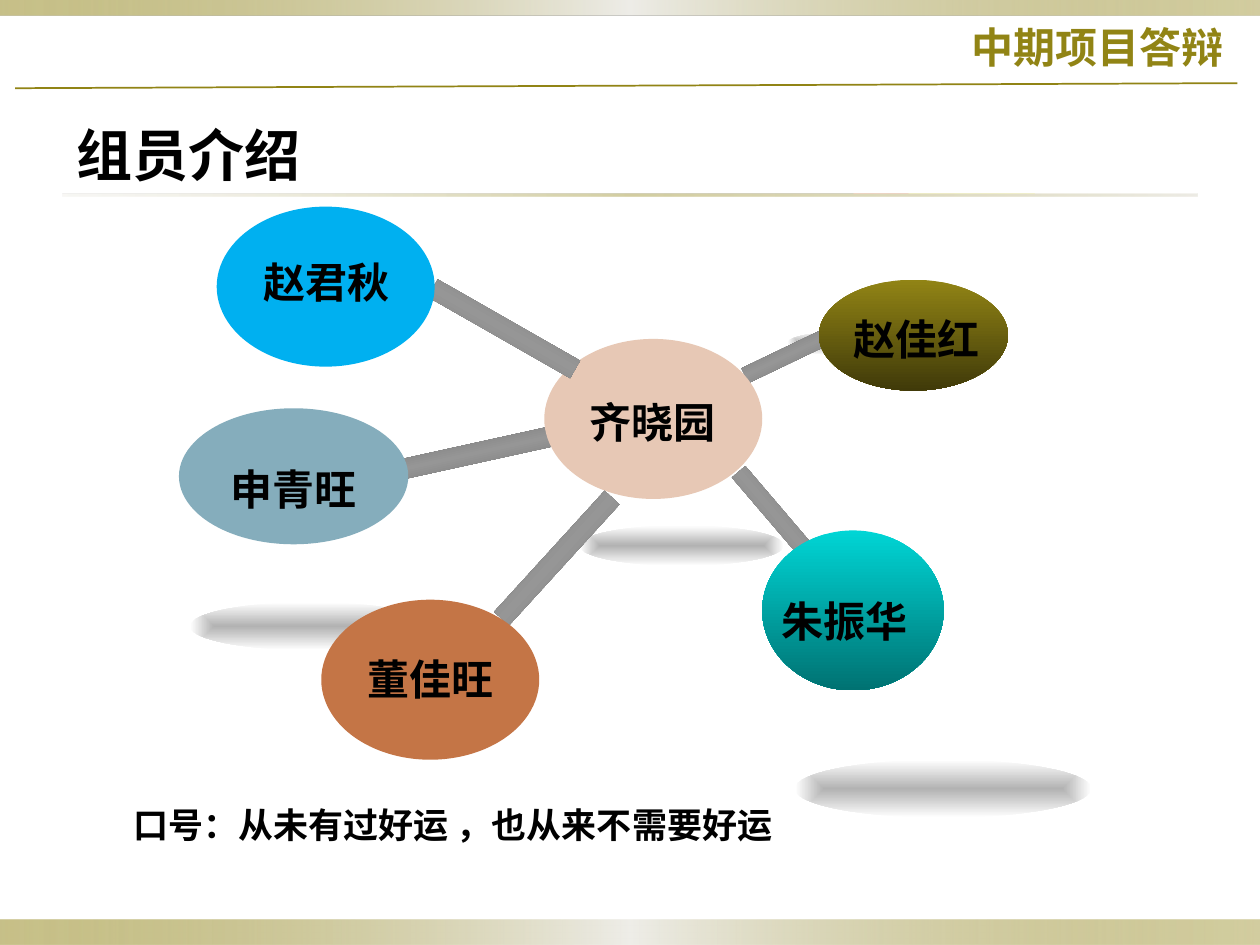
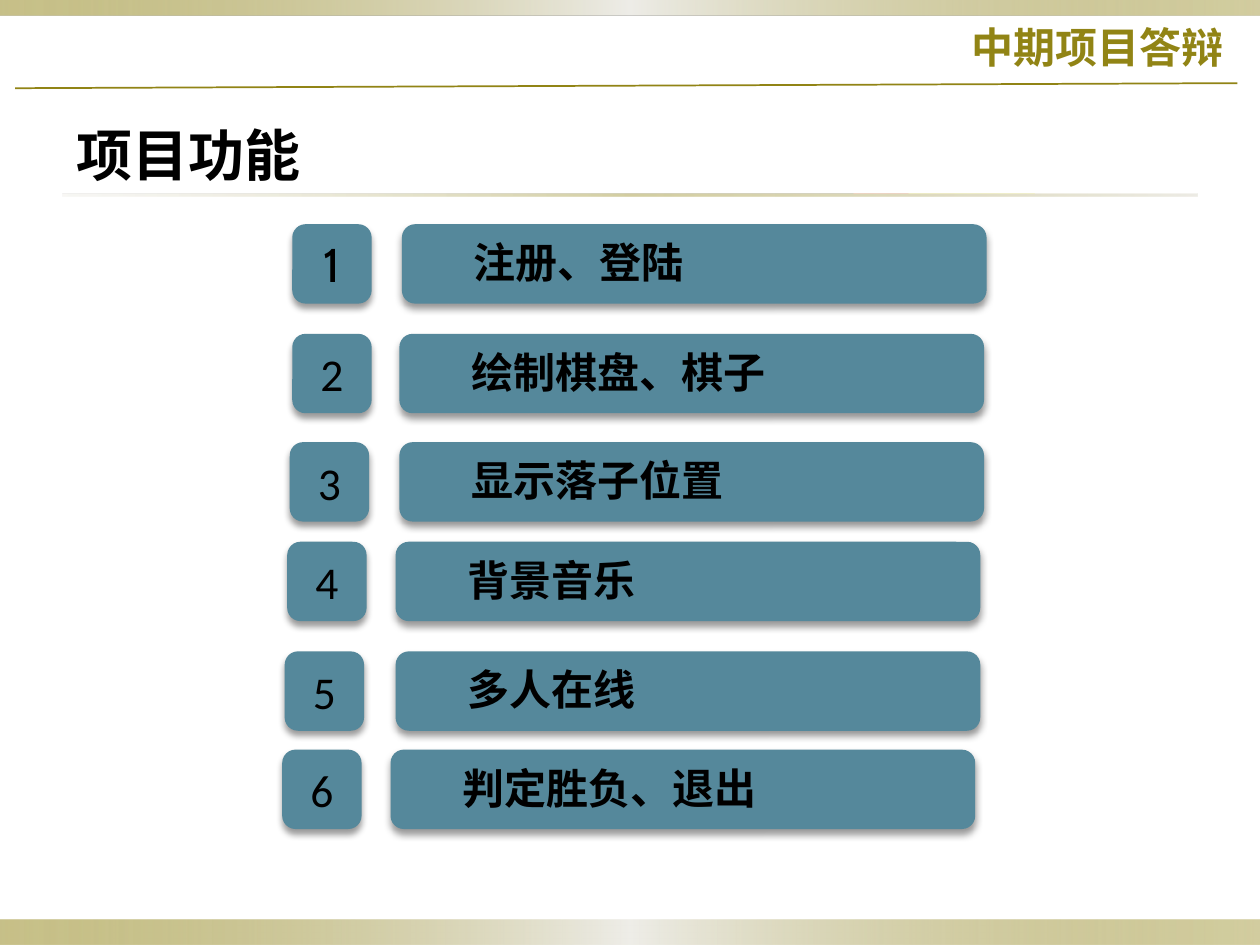
from dataclasses import dataclass

from lxml.etree import SubElement
from pptx import Presentation
from pptx.dml.color import RGBColor
from pptx.enum.shapes import MSO_CONNECTOR, MSO_SHAPE
from pptx.enum.text import MSO_ANCHOR, MSO_AUTO_SIZE, PP_ALIGN
from pptx.oxml import parse_xml
from pptx.oxml.ns import nsdecls, qn
from pptx.util import Inches, Pt

COLS, ROWS = 100, 75
EDGE = [(0, "918415", 50), (50, "EEEDE8", 100), (100, "918415", 40)]
RULE = [(0, "DCD9CC", 20), (50, "918415", 40), (100, "DCD9CC", 50)]
STEEL = [(0, "6B6B6B", 100), (50, "969696", 100), (100, "6B6B6B", 100)]
GLOW = [(0, "B2B2B2", 100), (100, "FFFFFF", 100)]
OLIVE = [(0, "918415", 100), (100, "403A09", 100)]
TEAL = [(0, "00D5D5", 100), (100, "007272", 100)]
ACROSS = '<a:lin ang="0" scaled="0"/>'
DOWN = '<a:lin ang="5400000" scaled="0"/>'
INWARD = ('<a:path path="shape"><a:fillToRect l="50000" t="50000" '
          'r="50000" b="50000"/></a:path>')


@dataclass(frozen=True)
class Theme:
    accent: str = "918415"
    ink: str = "000000"
    panel: str = "55889B"
    cjk: str = "Noto Sans CJK SC"
    body: str = "Arial"
    title: str = "Cabin"
    number: str = "Calibri"
    title_size: int = 32
    number_size: int = 26
    label_size: int = 24
    slogan_size: int = 20


class Deck:
    def __init__(self, theme):
        self.theme = theme
        self.prs = Presentation()
        self.prs.slide_width, self.prs.slide_height = Inches(10), Inches(7.5)
        self.col = self.prs.slide_width / COLS
        self.row = self.prs.slide_height / ROWS
        self.slide = None

    def place(self, *lengths):
        """Turn alternating columns and rows into slide lengths."""
        return [round(n * (self.row if i % 2 else self.col))
                for i, n in enumerate(lengths)]

    def shape(self, kind, box, fill, direction=DOWN, rotation=0):
        """Draw a preset shape; fill is a colour or a list of gradient stops."""
        sp = self.slide.shapes.add_shape(kind, *self.place(*box))
        sp.shadow.inherit = False
        sp.line.fill.background()
        sp.rotation = rotation
        if isinstance(fill, str):
            sp.fill.solid()
            sp.fill.fore_color.rgb = RGBColor.from_string(fill)
        else:
            self.gradient(sp, fill, direction)
        return sp

    def gradient(self, sp, stops, direction):
        sp.fill.background()
        xml = "".join(
            f'<a:gs pos="{pos * 1000}"><a:srgbClr val="{color}">'
            f'<a:alpha val="{alpha * 1000}"/></a:srgbClr></a:gs>'
            for pos, color, alpha in stops)
        spPr = sp._element.spPr
        spPr.replace(spPr.find(qn("a:noFill")), parse_xml(
            f'<a:gradFill {nsdecls("a")} rotWithShape="1">'
            f'<a:gsLst>{xml}</a:gsLst>{direction}</a:gradFill>'))

    def panel(self, box):
        """Draw a rounded panel with a soft shadow below it."""
        sp = self.shape(MSO_SHAPE.ROUNDED_RECTANGLE, box, self.theme.panel)
        effects = sp._element.spPr.find(qn("a:effectLst"))
        effects.append(parse_xml(
            f'<a:outerShdw {nsdecls("a")} blurRad="{Pt(4)}" dist="{Pt(3)}" '
            'dir="5400000" rotWithShape="0"><a:srgbClr val="000000">'
            '<a:alpha val="40000"/></a:srgbClr></a:outerShdw>'))
        return sp

    def label(self, sp, text, align=PP_ALIGN.LEFT, color=None, frame=None, **font):
        """Fill a shape with one line; frame and font hold format values."""
        tf = sp.text_frame
        frame = {"word_wrap": True, "vertical_anchor": MSO_ANCHOR.TOP,
                 "auto_size": MSO_AUTO_SIZE.SHAPE_TO_FIT_TEXT, **(frame or {})}
        for key, value in frame.items():
            setattr(tf, key, value)
        p = tf.paragraphs[0]
        p.alignment = align
        r = p.add_run()
        r.text = text
        font = {"name": self.theme.body, "size": self.theme.label_size,
                "bold": True, **font}
        font["size"] = Pt(font["size"])
        for key, value in font.items():
            setattr(r.font, key, value)
        r.font.color.rgb = RGBColor.from_string(color or self.theme.ink)
        SubElement(r.font._element, qn("a:ea"), typeface=self.theme.cjk)

    def text(self, box, text, **style):
        self.label(self.slide.shapes.add_textbox(*self.place(*box)), text, **style)

    def line(self, ends):
        cx = self.slide.shapes.add_connector(MSO_CONNECTOR.STRAIGHT, *self.place(*ends))
        cx.line.color.rgb = RGBColor.from_string(self.theme.accent)
        cx.line.width = Pt(1)
        SubElement(cx._element.spPr, qn("a:effectLst"))

    def new_slide(self, title):
        """Start a slide with the shared bands, running header and title."""
        t = self.theme
        self.slide = self.prs.slides.add_slide(self.prs.slide_layouts[6])
        for box, stops in [((0, 73, COLS, 2), EDGE), ((0, 0, COLS, 1.2), EDGE),
                           ((5, 15.4, 90, 0.2), RULE)]:
            self.shape(MSO_SHAPE.RECTANGLE, box, stops, ACROSS)
        self.text((5.1, 9.1, 90, 59.6), title, name=t.title, size=t.title_size,
                  frame={"auto_size": MSO_AUTO_SIZE.NONE})
        self.line((1.2, 7, 98.2, 6.6))
        self.text((52.2, 1.2, 45.9, 5), "中期项目答辩", align=PP_ALIGN.RIGHT,
                  name=t.cjk, color=t.accent)

    def link(self, box, rotation):
        self.shape(MSO_SHAPE.RECTANGLE, box, STEEL, rotation=rotation)

    def member(self, name, oval, fill, label_at):
        self.shape(MSO_SHAPE.OVAL, oval, fill)
        self.text((*label_at, 12.2, 5), name, align=PP_ALIGN.CENTER,
                  frame={"word_wrap": False})

    def feature(self, number, text, top, badge_left, bar_left, **font):
        t = self.theme
        self.panel((bar_left, top, 46.4, 6.3))
        caption = self.shape(MSO_SHAPE.RECTANGLE,
                             (bar_left + 4.7, top + 0.5, 32.9, 5), t.panel)
        self.label(caption, text, name=t.cjk)
        badge = self.panel((badge_left, top, 6.3, 6.3))
        font = {"name": t.number, "size": t.number_size, "bold": False, **font}
        self.label(badge, str(number), align=PP_ALIGN.CENTER, **font,
                   frame={"vertical_anchor": MSO_ANCHOR.MIDDLE,
                          "auto_size": MSO_AUTO_SIZE.NONE})


def build_team(deck):
    deck.new_slide("组员介绍")
    for glow in [(62.5, 26.3, 9.6, 1.9), (46, 41.7, 16.2, 3.2),
                 (63.1, 60.3, 23.5, 4.6), (15.1, 47.8, 19.1, 3.8)]:
        deck.shape(MSO_SHAPE.OVAL, glow, GLOW, INWARD)

    behind_hub = (
        [((56.8, 40.7, 10.4, 1.4), 229.5), ((31.1, 35.2, 13, 1.6), 347.6),
         ((58.8, 27.7, 6.8, 1.3), 334.4)],
        [("齐晓园", (43.2, 26.9, 17.3, 12.7), "E7C8B5", (45.7, 31)),
         ("赵佳红", (65, 22.2, 15, 8.8), OLIVE, (66.6, 24.4)),
         ("申青旺", (14.2, 32.4, 18.2, 10.8), "85ADBC", (17.2, 36.3)),
         ("朱振华", (60.5, 42.1, 14.4, 12.7), TEAL, (60.9, 46.8))])
    over_hub = (
        [((37.7, 43.5, 13, 1.6), 312.4), ((33.5, 25.3, 13, 1.6), 29.7)],
        [("董佳旺", (25.5, 47.6, 17.3, 12.7), "C47546", (28.1, 51.4)),
         ("赵君秋", (17.2, 16.4, 17.3, 12.7), "00B0F0", (19.8, 19.9))])
    for links, members in (behind_hub, over_hub):
        for link in links:
            deck.link(*link)
        for member in members:
            deck.member(*member)
    deck.text((9.6, 63.3, 80.3, 4.3), "口号：从未有过好运 ，也从来不需要好运",
              size=deck.theme.slogan_size)


def build_features(deck):
    deck.new_slide("项目功能")
    features = [("注册、登陆", 17.8, 23.2, 31.9),
                ("绘制棋盘、棋子", 26.5, 23.2, 31.7),
                ("显示落子位置", 35.1, 23, 31.7),
                ("背景音乐", 43, 22.8, 31.4),
                ("多人在线", 51.7, 22.6, 31.4),
                ("判定胜负、退出", 59.5, 22.4, 31)]
    for number, feature in enumerate(features, 1):
        first = {"name": deck.theme.title, "size": 27} if number == 1 else {}
        deck.feature(number, *feature, **first)


def main():
    deck = Deck(Theme())
    build_team(deck)
    build_features(deck)
    deck.prs.save("out.pptx")


if __name__ == "__main__":
    main()
